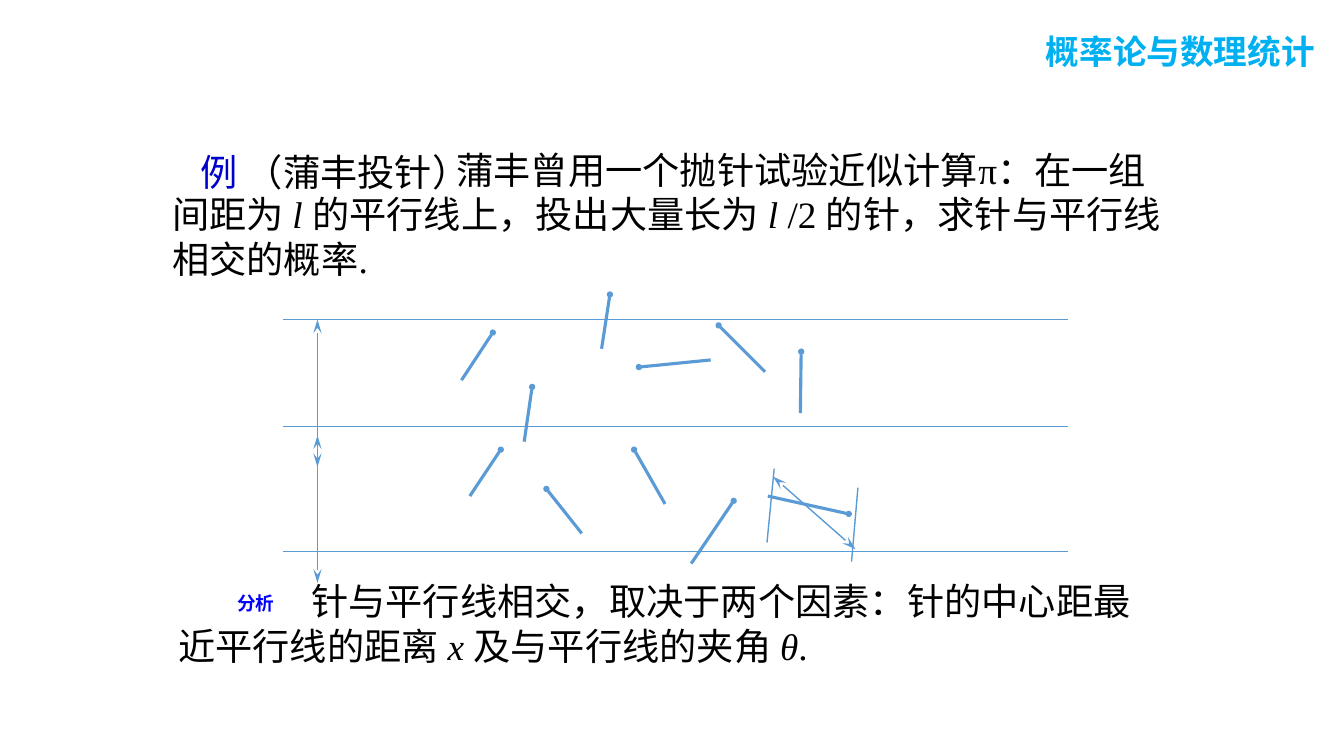
from lxml import etree
from pptx import Presentation
from pptx.dml.color import RGBColor
from pptx.enum.shapes import MSO_CONNECTOR, MSO_SHAPE
from pptx.enum.text import MSO_ANCHOR, PP_ALIGN
from pptx.oxml.ns import qn
from pptx.util import Cm, Pt

STRAIGHT = MSO_CONNECTOR.STRAIGHT
RECT = MSO_SHAPE.RECTANGLE
TOP = MSO_ANCHOR.TOP
LEFT, CENTER = PP_ALIGN.LEFT, PP_ALIGN.CENTER

THEME = {
    "white": "FFFFFF", "black": "000000", "course": "00B0F0",
    "example": "0000CC", "analysis": "0000FF", "line": "5B9BD5",
    "latin": "Times New Roman", "sans": "Arial", "cjk": "Noto Sans CJK SC",
    "body_size": 26.6, "course_size": 24, "label_size": 13.3,
    "thin": 1, "needle": 2.25,
}
END_SIZES = {"oval": ("sm", "sm"), "stealth": ("med", "lg")}  # width, length

# Content: runs are (text, style); lengths are in cm
BODY, ITALIC = {}, {"italic": True}
COURSE = [("概率论与数理统计", {"size": "course_size", "color": "course",
                        "font": "sans", "bold": True})]
EXAMPLE = [("例", {"color": "example"}), (" （蒲丰投针）", BODY)]
PROBLEM = [
    ("蒲丰曾用一个抛针试验近似计算π：在一组间距为 ", BODY), ("l ", ITALIC),
    ("的平行线上，投出大量长为 ", BODY), ("l ", ITALIC),
    ("/2 的针，求针与平行线相交的概率.", BODY),
]
ANALYSIS = [("分析", {"size": "label_size", "color": "analysis",
                    "font": "cjk", "bold": True})]
FACTORS = [
    ("针与平行线相交，取决于两个因素：针的中心距最近平行线的距离 ", BODY),
    ("x", ITALIC), (" 及与平行线的夹角 ", BODY), ("θ", ITALIC), (".", BODY),
]

PARALLEL_X = (7.14, 26.92)
PARALLEL_Y = (8.05, 10.74, 13.89)
NEEDLES = [  # point x, y, eye x, y
    (11.63, 9.58, 12.42, 8.38), (13.21, 11.13, 13.41, 9.75),
    (11.84, 12.5, 12.62, 11.33), (16.76, 12.7, 15.98, 11.33),
    (15.16, 8.79, 15.37, 7.42), (19.28, 9.37, 18.11, 8.2),
    (20.17, 10.41, 20.19, 8.86), (17.91, 9.07, 16.1, 9.25),
    (14.66, 13.44, 13.77, 12.32), (17.42, 14.2, 18.49, 12.62),
    (19.35, 12.5, 21.39, 12.95),
]
SPACING_X = 8
SPACING_TOPS = (8.05, 10.97)
ARROW_LENGTH = 1.86
NEEDLE_LIMITS = [(19.51, 11.81, 19.33, 13.67), (21.62, 12.29, 21.46, 14.15)]
NEEDLE_LENGTH = (19.48, 12.01, 21.56, 13.84)


def color(name):
    return RGBColor.from_string(THEME[name])


def write(sp, runs, align=LEFT, indent=0, spacing=None, wrap=True):
    tf = sp.text_frame
    tf.word_wrap = wrap
    tf.vertical_anchor = TOP
    p = tf.paragraphs[0]
    p.alignment = align
    if indent:
        p._p.get_or_add_pPr().set("indent", str(Cm(indent)))
    if spacing:
        p.line_spacing = spacing
    for text, style in runs:
        r = p.add_run()
        r.text = text
        f = r.font
        f.size = Pt(THEME[style.get("size", "body_size")])
        f.bold = style.get("bold", False)
        f.italic = style.get("italic", False)
        f.color.rgb = color(style.get("color", "black"))
        f.name = THEME[style.get("font", "latin")]
        ea = etree.SubElement(r._r.get_or_add_rPr(), qn("a:ea"))
        ea.set("typeface", THEME["cjk"])


def add_text(s, box, runs, **layout):
    write(s.shapes.add_textbox(*map(Cm, box)), runs, **layout)


def add_line(s, ends, width="thin", head=None, tail=None):
    """Draw a line from (x1, y1) to (x2, y2); head sits at the start."""
    sp = s.shapes.add_connector(STRAIGHT, *map(Cm, ends))
    sp.line.color.rgb = color("line")
    sp.line.width = Pt(THEME[width])
    ln = sp.line._get_or_add_ln()
    for tag, kind in (("a:headEnd", head), ("a:tailEnd", tail)):
        if kind:
            end = etree.SubElement(ln, qn(tag))
            end.set("type", kind)
            end_width, end_length = END_SIZES[kind]
            end.set("w", end_width)
            end.set("len", end_length)
    etree.SubElement(sp._element.spPr, qn("a:effectLst"))


def add_course(s):
    sp = s.shapes.add_shape(RECT, Cm(26.11), Cm(0.66), Cm(7.47), Cm(1.27))
    sp.shadow.inherit = False
    sp.fill.solid()
    sp.fill.fore_color.rgb = color("white")
    sp.line.fill.background()
    write(sp, COURSE)


def add_diagram(s):
    left, right = PARALLEL_X
    for y in PARALLEL_Y:
        add_line(s, (left, y, right, y))
    for needle in NEEDLES:
        add_line(s, needle, "needle", tail="oval")
    for top in SPACING_TOPS:
        middle, bottom = top + ARROW_LENGTH, top + 2 * ARROW_LENGTH
        add_line(s, (SPACING_X, top, SPACING_X, middle), head="stealth")
        add_line(s, (SPACING_X, middle, SPACING_X, bottom), tail="stealth")
    for limit in NEEDLE_LIMITS:
        add_line(s, limit)
    add_line(s, NEEDLE_LENGTH, head="stealth", tail="stealth")


def main():
    prs = Presentation()
    prs.slide_width, prs.slide_height = Cm(33.87), Cm(19.05)
    s = prs.slides.add_slide(prs.slide_layouts[6])
    add_course(s)
    add_text(s, (4.8, 3.3, 10.64, 1.73), EXAMPLE, spacing=1.3)
    add_text(s, (4.09, 3.58, 25.9, 3.68), PROBLEM, indent=7.16)
    add_text(s, (5.56, 14.78, 1.78, 0.89), ANALYSIS, align=CENTER, wrap=False)
    add_text(s, (4.24, 14.45, 24.84, 2.54), FACTORS, indent=3.35)
    add_diagram(s)
    prs.save("out.pptx")


if __name__ == "__main__":
    main()
